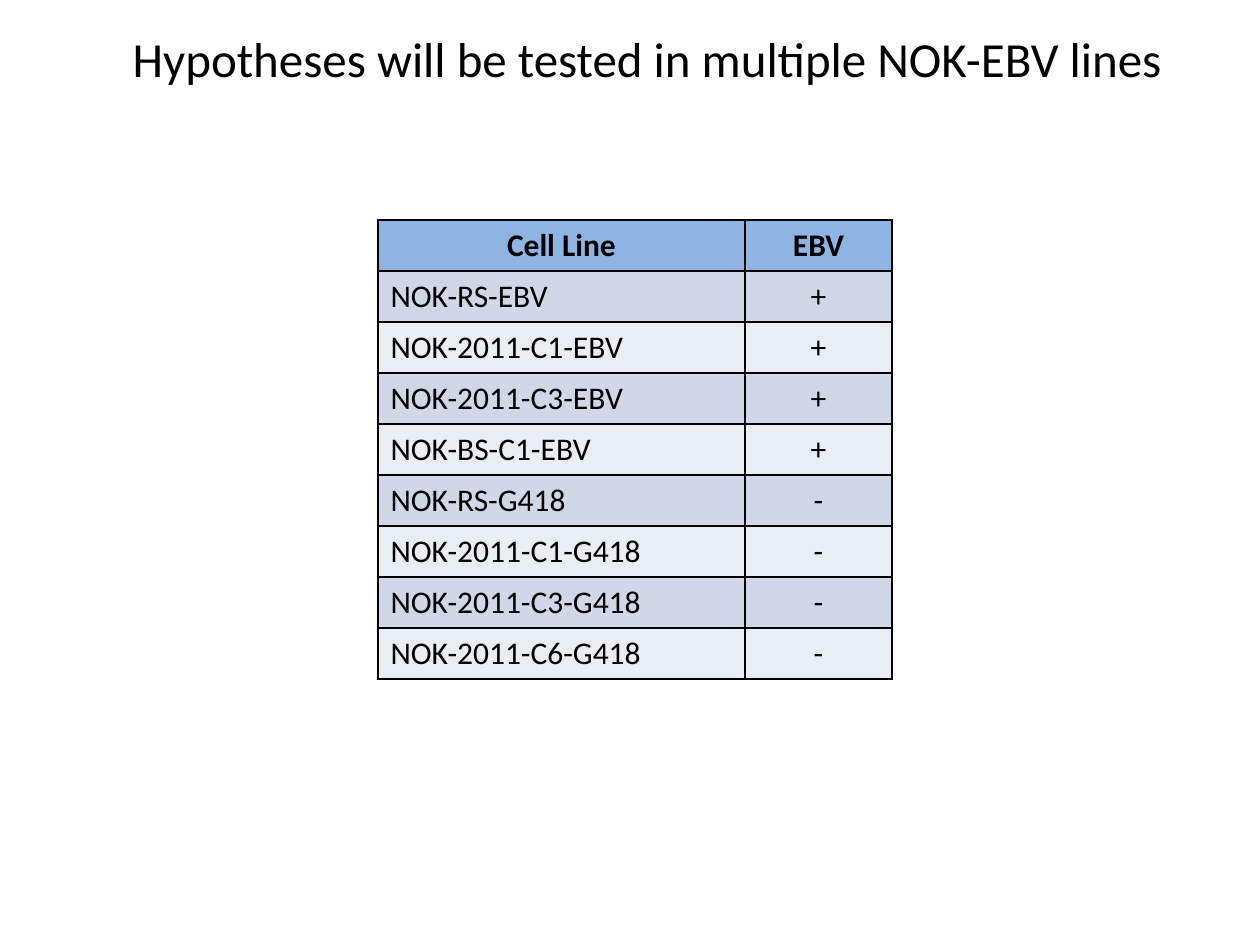
from lxml import etree
from pptx import Presentation
from pptx.dml.color import RGBColor
from pptx.enum.text import MSO_AUTO_SIZE, PP_ALIGN
from pptx.oxml.ns import qn
from pptx.util import Pt

LEFT, CENTER = PP_ALIGN.LEFT, PP_ALIGN.CENTER
GROW = MSO_AUTO_SIZE.SHAPE_TO_FIT_TEXT
SCALE = 914400 / 126
BLACK, HEAD = "000000", "8EB4E3"
BANDS = ["D0D8E8", "E9EDF4"]


def px(n):
    return round(n * SCALE)


def color(code):
    return RGBColor.from_string(code)


class Deck:
    font = "Calibri"
    ink = BLACK

    def __init__(self, wide, high):
        self.file = Presentation()
        self.file.slide_width = px(wide)
        self.file.slide_height = px(high)
        self.slide = self.file.slides.add_slide(self.file.slide_layouts[6])

    def label(self, frame, text, size, align, bold=False):
        frame.text = text
        para = frame.paragraphs[0]
        para.alignment = align
        for run in para.runs:
            run.font.name = self.font
            run.font.size = Pt(size)
            run.font.bold = bold
            run.font.color.rgb = color(self.ink)

    def title(self, text, x, y, w, h, size):
        frame = self.slide.shapes.add_textbox(px(x), px(y), px(w), px(h)).text_frame
        frame.word_wrap = True
        frame.auto_size = GROW
        self.label(frame, text, size, CENTER)

    def border(self, cell, width):
        props = cell._tc.get_or_add_tcPr()
        for side in ("lnL", "lnR", "lnT", "lnB"):
            line = etree.SubElement(props, qn("a:" + side), w=str(Pt(width)))
            fill = etree.SubElement(line, qn("a:solidFill"))
            etree.SubElement(fill, qn("a:srgbClr"), val=self.ink)

    def table(self, rows, x, y, widths, high, size):
        grid = self.slide.shapes.add_table(
            len(rows), len(widths), px(x), px(y), px(sum(widths)), px(high * len(rows))
        ).table
        for col, width in zip(grid.columns, widths):
            col.width = px(width)
        for r, row in enumerate(rows):
            grid.rows[r].height = px(high)
            for c, text in enumerate(row):
                cell = grid.cell(r, c)
                top = r == 0
                self.label(cell.text_frame, text, size, CENTER if top or c else LEFT, top)
                self.border(cell, 1)
                cell.fill.solid()
                cell.fill.fore_color.rgb = color(HEAD if top else BANDS[(r - 1) % 2])


def main():
    deck = Deck(1260, 945)
    deck.title("Hypotheses will be tested in multiple NOK-EBV lines", 81, 22, 1132, 72, 28)
    rows = [
        ("Cell Line", "EBV"),
        ("NOK-RS-EBV", "+"),
        ("NOK-2011-C1-EBV", "+"),
        ("NOK-2011-C3-EBV", "+"),
        ("NOK-BS-C1-EBV", "+"),
        ("NOK-RS-G418", "-"),
        ("NOK-2011-C1-G418", "-"),
        ("NOK-2011-C3-G418", "-"),
        ("NOK-2011-C6-G418", "-"),
    ]
    deck.table(rows, 378, 220, [367, 147], 51, 18)
    deck.file.save("out.pptx")


if __name__ == "__main__":
    main()
